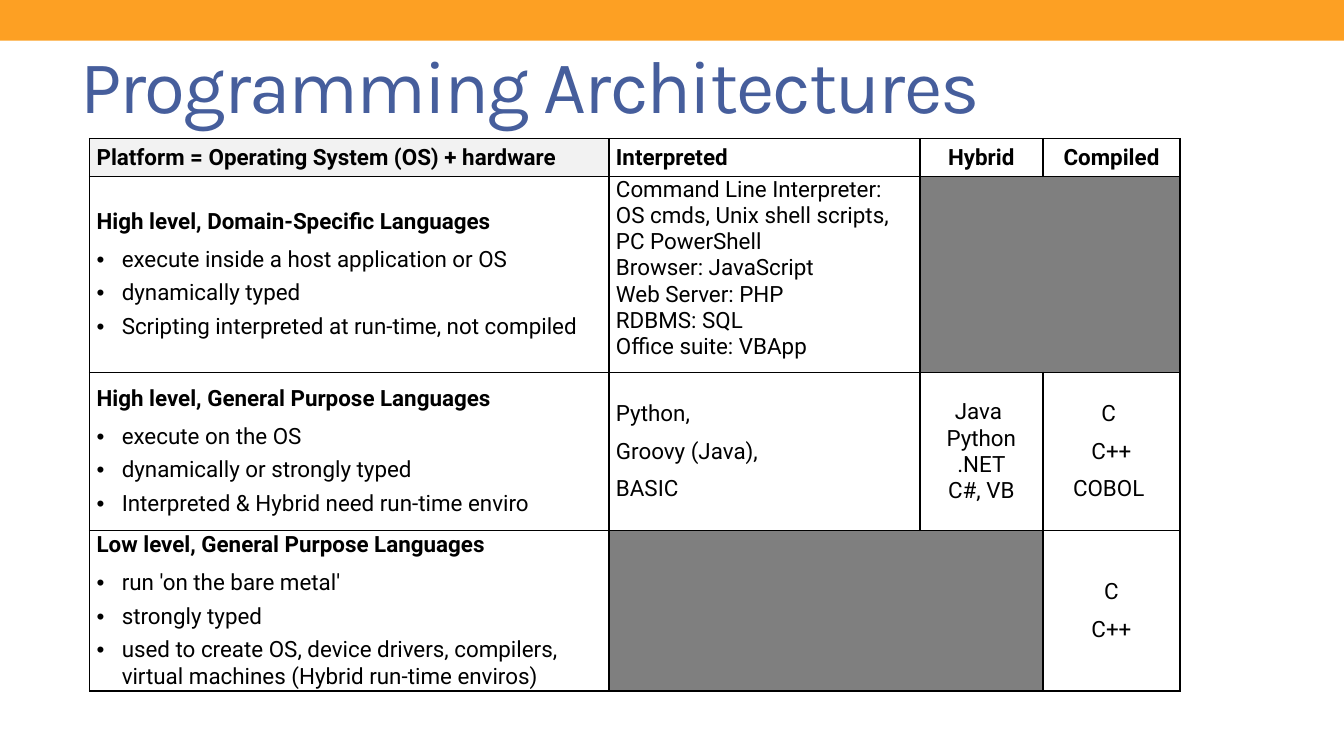
from lxml.etree import SubElement
from pptx import Presentation
from pptx.dml.color import RGBColor
from pptx.enum.shapes import MSO_SHAPE
from pptx.enum.text import MSO_ANCHOR, PP_ALIGN
from pptx.oxml.ns import qn
from pptx.util import Pt

PX = 9525  # EMU per px, 96 px to the inch
COLORS = {
    "band": "FDA023",
    "title": "465E9C",
    "ink": "000000",
    "header": "F2F2F2",
    "unused": "7F7F7F",
}
COLUMNS = [371, 222, 88, 98]
ROWS = [27, 140, 113, 110]

HEADINGS = ["Platform = Operating System (OS) + hardware",
            "Interpreted", "Hybrid", "Compiled"]
LEVELS = [
    ("High level, Domain-Specific Languages",
     ["execute inside a host application or OS",
      "dynamically typed",
      "Scripting interpreted at run-time, not compiled"]),
    ("High level, General Purpose Languages",
     ["execute on the OS",
      "dynamically or strongly typed",
      "Interpreted & Hybrid need run-time enviro"]),
    ("Low level, General Purpose Languages",
     ["run 'on the bare metal'",
      "strongly typed",
      "used to create OS, device drivers, compilers, \n"
      "virtual machines (Hybrid run-time enviros)"]),
]
SCRIPTING = ["Command Line Interpreter: \nOS cmds, Unix shell scripts, \nPC PowerShell",
             "Browser: JavaScript", "Web Server: PHP", "RDBMS: SQL",
             "Office suite: VBApp"]
# (row, column): languages
LANGUAGES = {
    (2, 1): ["Python,", "Groovy (Java),", "BASIC"],
    (2, 2): ["Java \nPython\n.NET\nC#, VB"],
    (2, 3): ["C ", "C++", "COBOL "],
    (3, 3): ["C", "C++"],
}
UNUSED = [((1, 2), (1, 3)), ((3, 1), (3, 2))]


def px(length):
    return length * PX


def rgb(name):
    return RGBColor.from_string(COLORS[name])


def add_run(paragraph, text, font, size, color, bold=False):
    run = paragraph.add_run()
    run.text = text
    run.font.name = font
    run.font.size = Pt(size)
    run.font.bold = bold
    run.font.color.rgb = rgb(color)
    return run


def add_band(slide):
    band = slide.shapes.add_shape(MSO_SHAPE.RECTANGLE, 0, 0, px(960), px(29))
    band.shadow.inherit = False
    band.fill.solid()
    band.fill.fore_color.rgb = rgb("band")
    band.line.fill.background()


def add_title(slide, text):
    frame = slide.shapes.add_textbox(px(48), px(21), px(864), px(78)).text_frame
    frame.word_wrap = True
    frame.vertical_anchor = MSO_ANCHOR.MIDDLE
    run = add_run(frame.paragraphs[0], text, "Karla", 40, "title")
    run.font._element.set("spc", "-100")


def set_bullet(paragraph):
    properties = paragraph._p.get_or_add_pPr()
    properties.set("marL", str(px(18)))
    properties.set("indent", str(px(-18)))
    SubElement(properties, qn("a:buFont"), typeface="Arial")
    SubElement(properties, qn("a:buChar"), char="•")


def write_cell(cell, lines, align=PP_ALIGN.LEFT, after=6, bold=False, bullets=()):
    """Fill a cell with plain paragraphs, then bulleted ones."""
    frame = cell.text_frame
    for index, text in enumerate([*lines, *bullets]):
        paragraph = frame.add_paragraph() if index else frame.paragraphs[0]
        bulleted = index >= len(lines)
        paragraph.alignment = align
        paragraph.space_after = Pt(4 if bulleted else after)
        if bulleted:
            set_bullet(paragraph)
        for number, line in enumerate(text.split("\n")):
            if number:
                paragraph.add_line_break()
            add_run(paragraph, line, "Roboto", 12, "ink", bold and not bulleted)


def style_cell(cell):
    cell.margin_left = cell.margin_right = px(5)
    cell.margin_top = cell.margin_bottom = 0
    cell.vertical_anchor = MSO_ANCHOR.MIDDLE
    properties = cell._tc.get_or_add_tcPr()
    for side in ("lnL", "lnR", "lnT", "lnB"):
        border = SubElement(properties, qn(f"a:{side}"), w=str(Pt(1)))
        fill = SubElement(border, qn("a:solidFill"))
        SubElement(fill, qn("a:srgbClr"), val=COLORS["ink"])
    cell.fill.background()


def fill_cell(cell, color):
    cell.fill.solid()
    cell.fill.fore_color.rgb = rgb(color)


def add_grid(slide):
    table = slide.shapes.add_table(
        len(ROWS), len(COLUMNS), px(64), px(99), px(sum(COLUMNS)), px(sum(ROWS))).table
    table.first_row = table.horz_banding = False
    for column, width in zip(table.columns, COLUMNS):
        column.width = px(width)
    for row, height in zip(table.rows, ROWS):
        row.height = px(height)
    for cell in table.iter_cells():
        style_cell(cell)
    return table


def column_align(column):
    return PP_ALIGN.CENTER if column > 1 else PP_ALIGN.LEFT


def add_architectures(slide):
    table = add_grid(slide)
    # Header row
    for column, heading in enumerate(HEADINGS):
        write_cell(table.cell(0, column), [heading], column_align(column), bold=True)
    fill_cell(table.cell(0, 0), "header")
    # Language levels
    for row, (level, traits) in enumerate(LEVELS, 1):
        write_cell(table.cell(row, 0), [level], bold=True, bullets=traits)
    # Example languages
    write_cell(table.cell(1, 1), SCRIPTING, after=0)
    table.cell(1, 1).vertical_anchor = MSO_ANCHOR.TOP
    for (row, column), names in LANGUAGES.items():
        write_cell(table.cell(row, column), names, column_align(column))
    # Combinations that do not occur
    for first, last in UNUSED:
        table.cell(*first).merge(table.cell(*last))
        fill_cell(table.cell(*first), "unused")


def main():
    deck = Presentation()
    deck.slide_width, deck.slide_height = px(960), px(540)
    slide = deck.slides.add_slide(deck.slide_layouts[6])
    add_band(slide)
    add_title(slide, "Programming Architectures")
    add_architectures(slide)
    deck.save("out.pptx")


if __name__ == "__main__":
    main()
